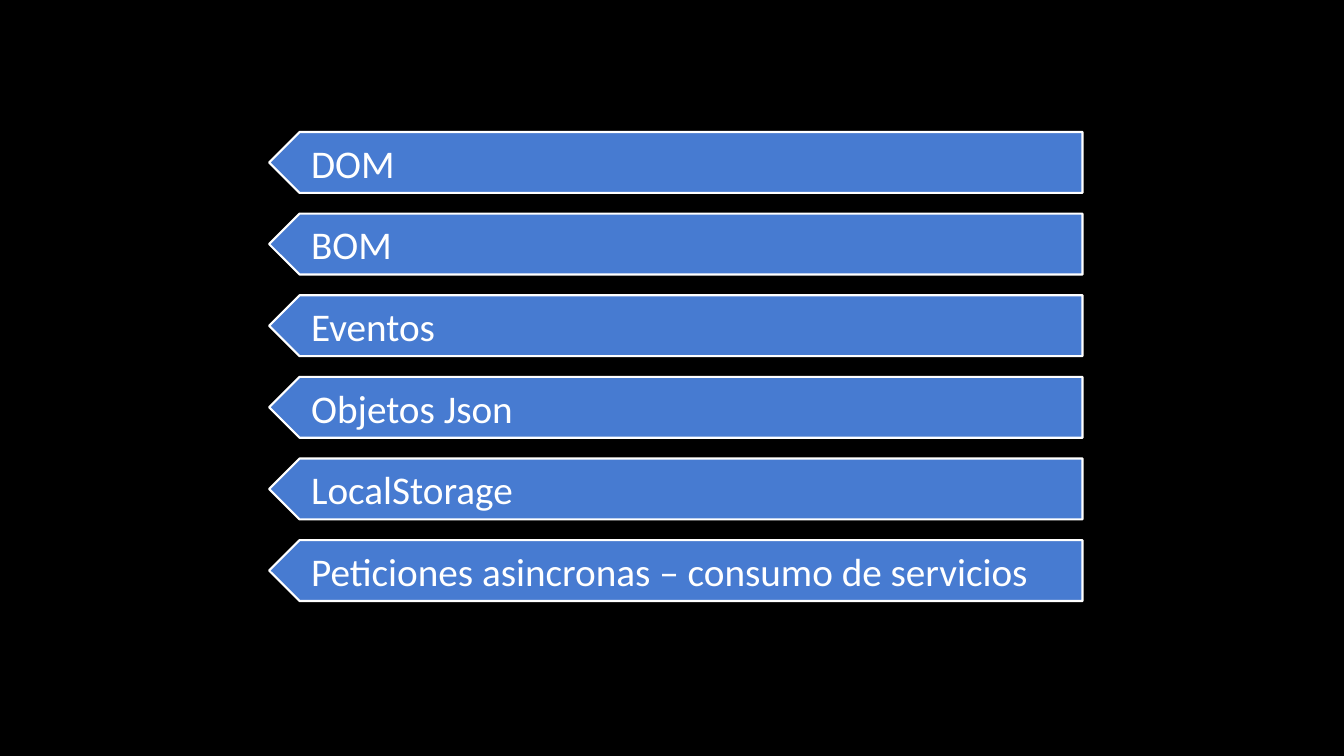
from pptx import Presentation
from pptx.dml.color import RGBColor
from pptx.enum.shapes import MSO_SHAPE
from pptx.enum.text import MSO_ANCHOR
from pptx.util import Pt

BLACK = RGBColor(0x00, 0x00, 0x00)
BLUE = RGBColor(0x47, 0x7B, 0xD1)
WHITE = RGBColor(0xFF, 0xFF, 0xFF)

TOPICS = [
    "DOM",
    "BOM",
    "Eventos",
    "Objetos Json",
    "LocalStorage",
    "Peticiones asincronas – consumo de servicios",
]
LEFT, TOP = 192.2, 94.3
WIDTH, HEIGHT = 581, 43.5
PITCH = 58.3
TEXT_INDENT = 10.9


def add_arrow(shapes, top):
    sp = shapes.add_shape(MSO_SHAPE.PENTAGON, Pt(LEFT), Pt(top), Pt(WIDTH), Pt(HEIGHT))
    sp.rotation = 180
    sp.shadow.inherit = False
    sp.fill.solid()
    sp.fill.fore_color.rgb = BLUE
    sp.line.color.rgb = WHITE
    sp.line.width = Pt(1.5)


def add_label(shapes, text, top):
    sp = shapes.add_textbox(Pt(LEFT + TEXT_INDENT), Pt(top),
                            Pt(WIDTH - TEXT_INDENT), Pt(HEIGHT))
    tf = sp.text_frame
    tf.word_wrap = True
    tf.vertical_anchor = MSO_ANCHOR.MIDDLE
    tf.margin_left, tf.margin_right = Pt(19.2), Pt(13.7)
    tf.margin_top = tf.margin_bottom = Pt(7.2)
    p = tf.paragraphs[0]
    p.text = text
    p.font.name = "Calibri"
    p.font.size = Pt(28)
    p.font.color.rgb = WHITE


def add_topic(s, text, top):
    """Group an arrow with an upright label, as the arrow itself is turned round."""
    group = s.shapes.add_group_shape()
    add_arrow(group.shapes, top)
    add_label(group.shapes, text, top)


def main():
    prs = Presentation()
    prs.slide_width, prs.slide_height = Pt(960), Pt(540)
    s = prs.slides.add_slide(prs.slide_layouts[6])
    s.background.fill.solid()
    s.background.fill.fore_color.rgb = BLACK
    for i, topic in enumerate(TOPICS):
        add_topic(s, topic, TOP + i * PITCH)
    prs.save("out.pptx")


if __name__ == "__main__":
    main()
